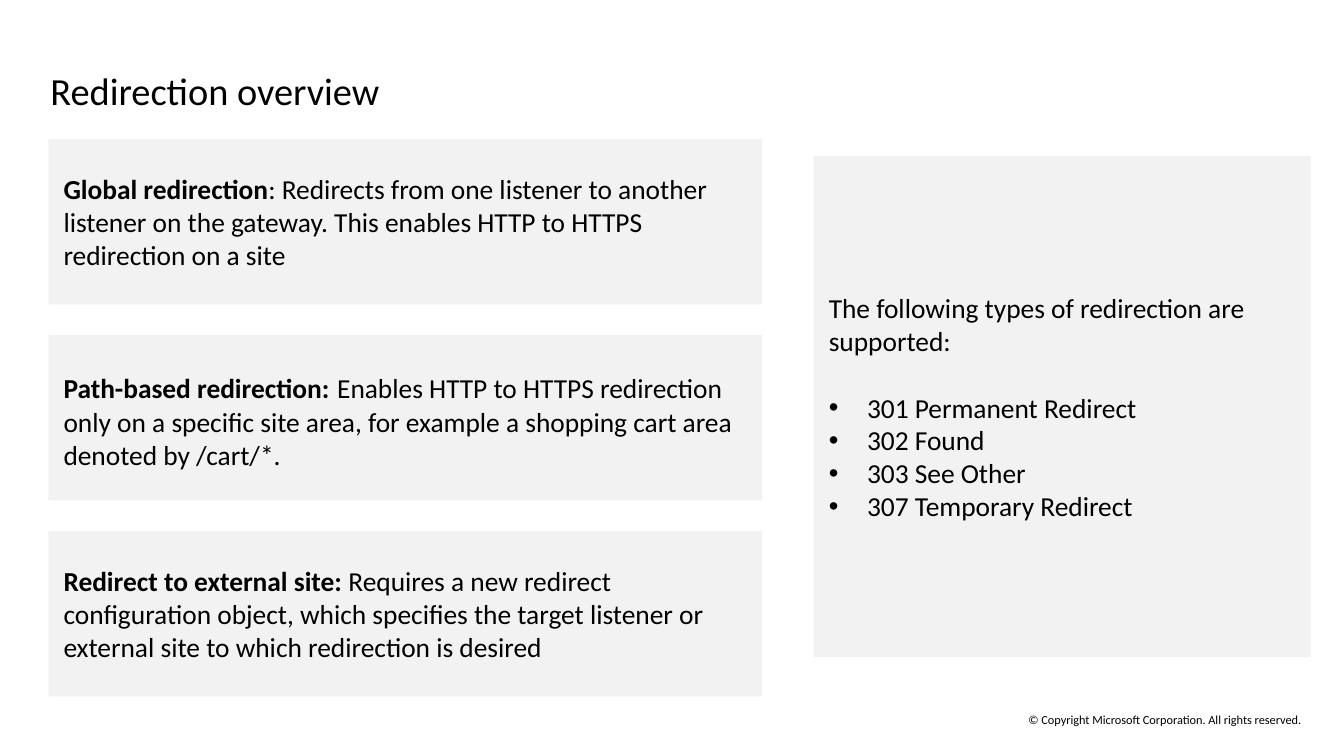
import pptx
import pptx.util
import pptx.dml.color
import pptx.enum.shapes
import pptx.enum.text
from pptx.oxml import parse_xml
from pptx.oxml.ns import nsdecls

Inches, Pt = pptx.util.Inches, pptx.util.Pt
ANCHOR, ALIGN = pptx.enum.text.MSO_ANCHOR, pptx.enum.text.PP_ALIGN

# Content: a paragraph is a list of (text, bold, size)
BODY_SIZE = 19.6
TITLE = "Redirection overview"
COPYRIGHT = "© Copyright Microsoft Corporation. All rights reserved."
REDIRECTIONS = [
    [("Global redirection", True, BODY_SIZE),
     (": Redirects from one listener to another listener on the gateway. "
      "This enables HTTP to HTTPS redirection on a site", False, BODY_SIZE)],
    [("Path-based redirection:", True, BODY_SIZE),
     (" ", True, 24),
     ("Enables HTTP to HTTPS redirection only on a specific site area, "
      "for example a shopping cart area denoted by /cart/*.", False, BODY_SIZE)],
    [("Redirect to external site: ", True, BODY_SIZE),
     ("Requires a new redirect configuration object, which specifies the target "
      "listener or external site to which redirection is desired", False, BODY_SIZE)],
]
SUPPORTED = "The following types of redirection are supported:"
STATUS_CODES = ["301 Permanent Redirect", "302 Found", "303 See Other",
                "307 Temporary Redirect"]

# Look and grid, in inches
BLACK = pptx.dml.color.RGBColor(0x00, 0x00, 0x00)
PANEL_GREY = pptx.dml.color.RGBColor(0xF2, 0xF2, 0xF2)
FONT = "Calibri"
SLIDE_WIDTH, SLIDE_HEIGHT = 13.33, 7.5
TITLE_BOX = (0.5, 0.68, 12.36, 0.44)
COPYRIGHT_BOX = (9.78, 7.06, 3.55, 0.15)
LEFT, TOP, CARD_WIDTH, CARD_HEIGHT, ROW_STEP = 0.48, 1.38, 7.08, 1.64, 1.945
SUPPORTED_BOX = (8.07, 1.55, 4.93, 4.97)
BULLET_INDENT = 0.38
LIST_GAP = 24


def set_values(target, values):
    for name, value in values.items():
        setattr(target, name, value)


def set_frame(frame, side=0, end=0):
    set_values(frame, {
        "word_wrap": True, "vertical_anchor": ANCHOR.MIDDLE,
        "auto_size": pptx.enum.text.MSO_AUTO_SIZE.NONE,
        "margin_left": Inches(side), "margin_right": Inches(side),
        "margin_top": Inches(end), "margin_bottom": Inches(end)})


def write(paragraph, runs, alignment=ALIGN.LEFT):
    paragraph.alignment = alignment
    for text, bold, size in runs:
        run = paragraph.add_run()
        run.text = text
        set_values(run.font, {"name": FONT, "size": Pt(size), "bold": bold})
        run.font.color.rgb = BLACK


def add_panel(slide, box):
    panel = slide.shapes.add_shape(
        pptx.enum.shapes.MSO_SHAPE.RECTANGLE, *map(Inches, box))
    panel.shadow.inherit = False
    panel.fill.solid()
    panel.fill.fore_color.rgb = PANEL_GREY
    panel.line.fill.background()
    set_frame(panel.text_frame, 0.15, 0.1)
    return panel.text_frame


def add_bullet(paragraph):
    properties = paragraph._p.get_or_add_pPr()
    properties.set("marL", str(Inches(BULLET_INDENT)))
    properties.set("indent", str(-Inches(BULLET_INDENT)))
    properties.append(parse_xml(f'<a:buFont {nsdecls("a")} typeface="Arial"/>'))
    properties.append(parse_xml(f'<a:buChar {nsdecls("a")} char="•"/>'))


def main():
    presentation = pptx.Presentation()
    presentation.slide_width = Inches(SLIDE_WIDTH)
    presentation.slide_height = Inches(SLIDE_HEIGHT)
    slide = presentation.slides.add_slide(presentation.slide_layouts[5])

    # Title
    title = slide.shapes.title
    set_values(title, dict(zip(("left", "top", "width", "height"),
                               map(Inches, TITLE_BOX))))
    set_frame(title.text_frame)
    heading = title.text_frame.paragraphs[0]
    heading.line_spacing = Pt(31.4)
    write(heading, [(TITLE, False, 27.4)])

    # Redirection cards
    for row, runs in enumerate(REDIRECTIONS):
        box = (LEFT, TOP + row * ROW_STEP, CARD_WIDTH, CARD_HEIGHT)
        write(add_panel(slide, box).paragraphs[0], runs)

    # Supported types
    frame = add_panel(slide, SUPPORTED_BOX)
    introduction = frame.paragraphs[0]
    introduction.space_after = Pt(LIST_GAP)
    write(introduction, [(SUPPORTED, False, BODY_SIZE)])
    for status_code in STATUS_CODES:
        paragraph = frame.add_paragraph()
        add_bullet(paragraph)
        write(paragraph, [(status_code, False, BODY_SIZE)])

    # Copyright line
    footer = slide.shapes.add_textbox(*map(Inches, COPYRIGHT_BOX))
    set_frame(footer.text_frame)
    write(footer.text_frame.paragraphs[0], [(COPYRIGHT, False, 8.8)], ALIGN.CENTER)

    presentation.save("out.pptx")


if __name__ == "__main__":
    main()
